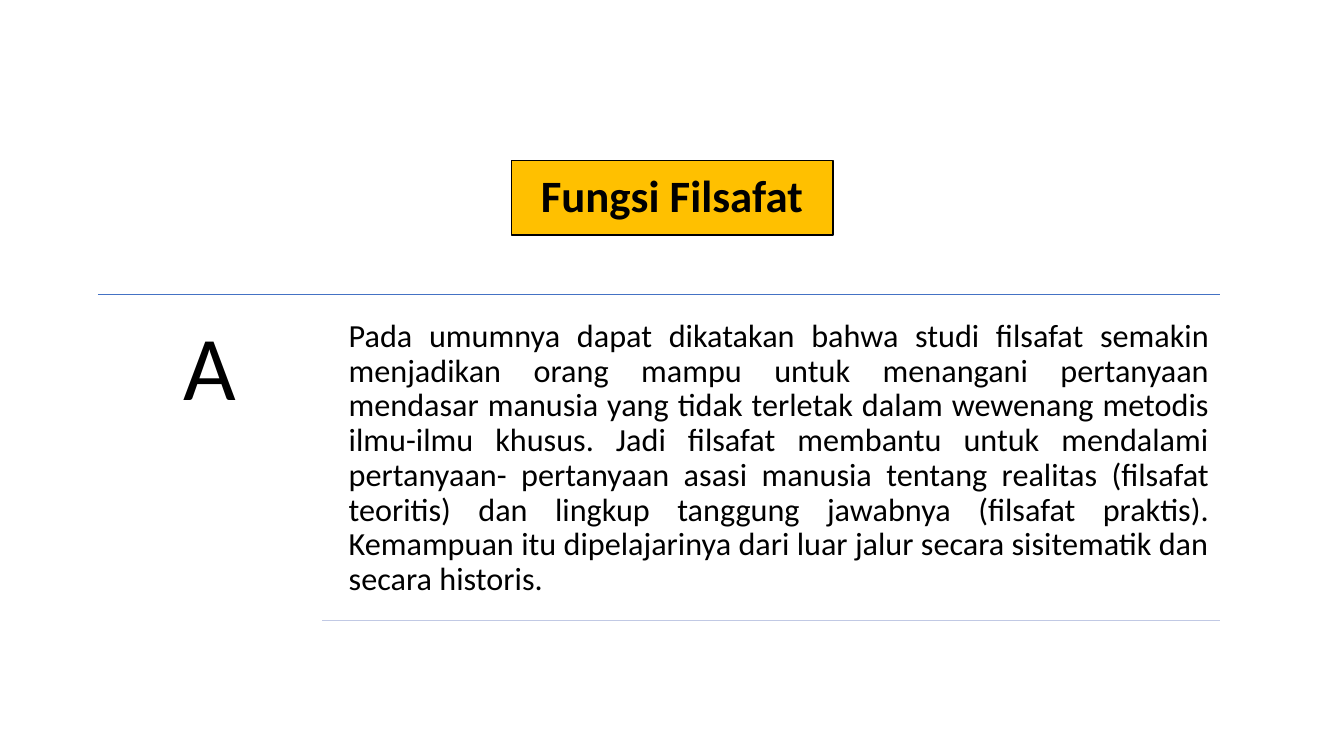
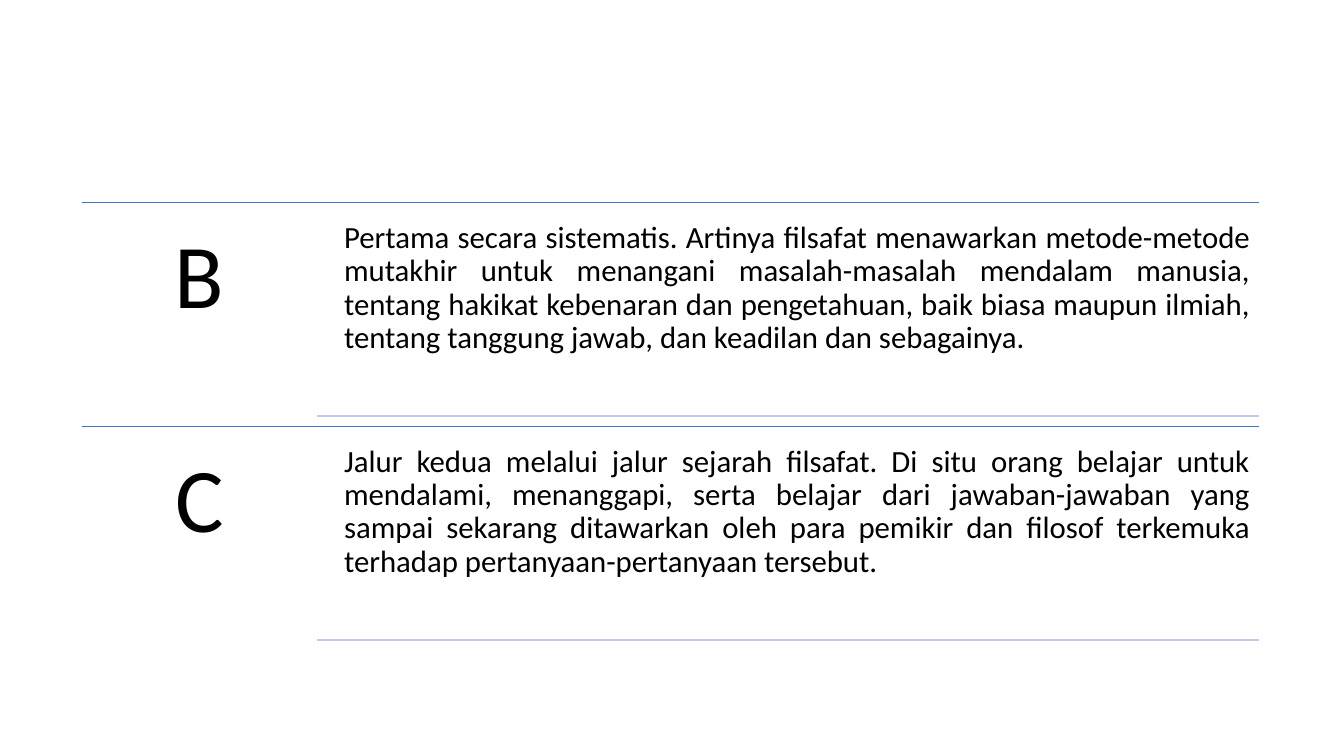
from lxml import etree
from pptx import Presentation
from pptx import util as u
from pptx.dml.color import RGBColor
from pptx.enum import shapes, text
from pptx.oxml.ns import qn

COLORS = {"ink": "000000", "title": "FFC000", "rule": "4472C4", "soft rule": "C1C9E4"}
FONT = "Calibri"
LETTER_SIZE = 65

# Content: each block is (left, top, width, row height) and its lettered rows
SLIDES = [
    {
        "title": "Fungsi Filsafat",
        "block": (0.97, 2.92, 11.13, 3.39),
        "size": 23,
        "rows": [
            ("A", "Pada umumnya dapat dikatakan bahwa studi filsafat semakin menjadikan orang "
                  "mampu untuk menangani pertanyaan mendasar manusia yang tidak terletak dalam "
                  "wewenang metodis ilmu-ilmu khusus. Jadi filsafat membantu untuk mendalami "
                  "pertanyaan- pertanyaan asasi manusia tentang realitas (filsafat teoritis) dan "
                  "lingkup tanggung jawabnya (filsafat praktis). Kemampuan itu dipelajarinya dari "
                  "luar jalur secara sisitematik dan secara historis."),
        ],
    },
    {
        "title": None,
        "block": (0.81, 2.01, 11.68, 2.22),
        "size": 22,
        "rows": [
            ("B", "Pertama secara sistematis. Artinya filsafat menawarkan metode-metode mutakhir "
                  "untuk menangani masalah-masalah mendalam manusia, tentang hakikat kebenaran dan "
                  "pengetahuan, baik biasa maupun ilmiah, tentang tanggung jawab, dan keadilan dan "
                  "sebagainya."),
            ("C", "Jalur kedua melalui jalur sejarah filsafat. Di situ orang belajar untuk "
                  "mendalami, menanggapi, serta belajar dari jawaban-jawaban yang sampai sekarang "
                  "ditawarkan oleh para pemikir dan filosof terkemuka terhadap "
                  "pertanyaan-pertanyaan tersebut."),
        ],
    },
]


def color(name):
    return RGBColor.from_string(COLORS[name])


def write(shape, words, size, alignment, bold=False):
    shape.text_frame.text = words
    paragraph = shape.text_frame.paragraphs[0]
    paragraph.alignment = alignment
    paragraph.line_spacing = 0.9
    font = paragraph.font
    font.name, font.size, font.bold = FONT, u.Pt(size), bold
    font.color.rgb = color("ink")


def add_title(slide, words):
    title = slide.shapes.title
    title.left, title.top, title.width, title.height = map(u.Inches, (5.07, 1.59, 3.19, 0.74))
    title.fill.solid()
    title.fill.fore_color.rgb = color("title")
    title.line.color.rgb = color("ink")
    title.line.width = u.Pt(1)
    write(title, words, 32, text.PP_ALIGN.CENTER, bold=True)
    title.text_frame.auto_size = text.MSO_AUTO_SIZE.NONE
    title.text_frame.vertical_anchor = text.MSO_ANCHOR.MIDDLE


def add_rule(slide, left, right, y, color_name):
    rule = slide.shapes.add_connector(
        shapes.MSO_CONNECTOR.STRAIGHT, *map(u.Inches, (left, y, right, y)))
    rule.line.color.rgb = color(color_name)
    rule.line.width = u.Pt(1)
    etree.SubElement(rule._element.spPr, qn("a:effectLst"))


def add_text(slide, box, inset, words, size, alignment):
    shape = slide.shapes.add_textbox(*map(u.Inches, box))
    frame = shape.text_frame
    frame.word_wrap = True
    frame.margin_left = frame.margin_right = u.Inches(inset)
    frame.margin_top = frame.margin_bottom = u.Inches(inset)
    write(shape, words, size, alignment)


def add_row(slide, box, letter, words, size):
    """A letter column of one fifth, then the text column between two rules."""
    left, top, width, height = box
    right = left + width
    letter_width = width / 5
    text_left = left + letter_width + 0.015 * width
    gap = height / 22
    text_height = height - 2 * gap

    add_rule(slide, left, right, top, "rule")
    add_text(slide, (left, top, letter_width, height), 0.27,
             letter, LETTER_SIZE, text.PP_ALIGN.CENTER)
    add_text(slide, (text_left, top + gap, right - text_left, text_height), 0.3 * size / 72,
             words, size, text.PP_ALIGN.JUSTIFY)
    add_rule(slide, left + letter_width, right, top + gap + text_height, "soft rule")


def main():
    presentation = Presentation()
    presentation.slide_width, presentation.slide_height = u.Inches(13.33), u.Inches(7.5)
    title_only, blank = presentation.slide_layouts[5], presentation.slide_layouts[6]

    for content in SLIDES:
        slide = presentation.slides.add_slide(title_only if content["title"] else blank)
        if content["title"]:
            add_title(slide, content["title"])
        left, top, width, height = content["block"]
        for index, (letter, words) in enumerate(content["rows"]):
            add_row(slide, (left, top + index * height, width, height),
                    letter, words, content["size"])

    presentation.save("out.pptx")


if __name__ == "__main__":
    main()
